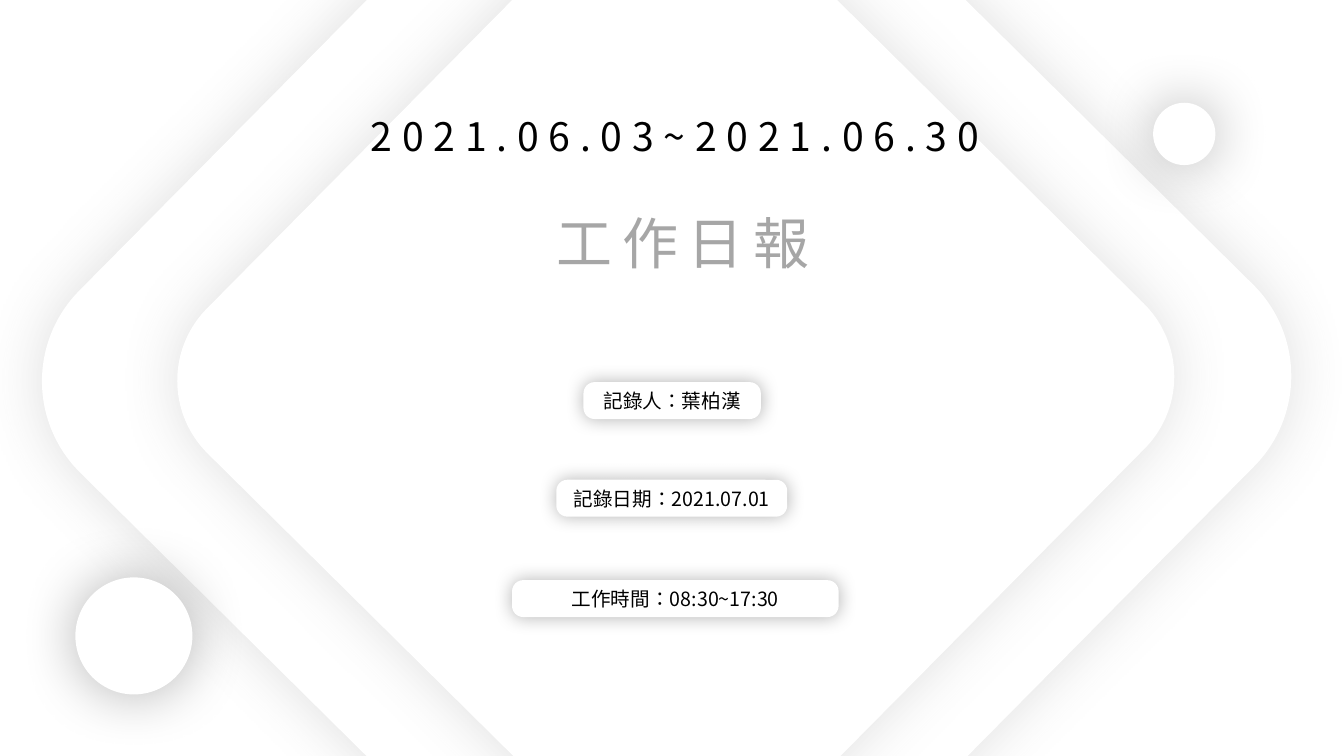
from lxml.etree import SubElement
from pptx import Presentation
from pptx.dml.color import RGBColor
from pptx.enum.shapes import MSO_SHAPE
from pptx.enum.text import MSO_ANCHOR, PP_ALIGN
from pptx.oxml.ns import qn
from pptx.util import Cm, Pt

COLORS = {"white": "FFFFFF", "black": "000000", "title": "A6A6A6", "soft": "595959"}
FONT = "Noto Sans CJK SC"


def add_card(shapes, kind, box, shadow, opacity, blur, corner=None):
    """White, unlined shape with a glow-like shadow around it."""
    card = shapes.add_shape(kind, *[Cm(v) for v in box])
    if corner is not None:
        card.adjustments[0] = corner
    card.fill.solid()
    card.fill.fore_color.rgb = RGBColor.from_string(COLORS["white"])
    card.line.fill.background()
    card.shadow.inherit = False
    effects = card._element.spPr.find(qn("a:effectLst"))
    outer = SubElement(effects, qn("a:outerShdw"), blurRad=str(Pt(blur)),
                       dist="0", dir="0", algn="ctr", rotWithShape="0")
    color = SubElement(outer, qn("a:srgbClr"), val=COLORS[shadow])
    SubElement(color, qn("a:alpha"), val=str(opacity * 1000))
    return card


def add_label(shapes, text, box, size, color="black", spacing=0):
    """Centred single-line text."""
    label = shapes.add_textbox(*[Cm(v) for v in box])
    frame = label.text_frame
    frame.word_wrap = True
    frame.vertical_anchor = MSO_ANCHOR.MIDDLE
    frame.margin_left = frame.margin_right = frame.margin_top = frame.margin_bottom = 0
    paragraph = frame.paragraphs[0]
    paragraph.alignment = PP_ALIGN.CENTER
    run = paragraph.add_run()
    run.text = text
    paragraph.font.size = Pt(size)
    paragraph.font.name = FONT
    paragraph.font.color.rgb = RGBColor.from_string(COLORS[color])
    # East Asian typeface and letter spacing
    properties = run._r.get_or_add_rPr()
    properties.set("lang", "zh-TW")
    if spacing:
        properties.set("spc", str(spacing * 100))
    SubElement(properties, qn("a:ea"), typeface=FONT)


report = Presentation()
report.slide_width, report.slide_height = Cm(33.87), Cm(19.05)
slide = report.slides.add_slide(report.slide_layouts[6])

# Nested diamonds
for left, top, side in [(4.72, -2.54, 24.16), (7.39, -0.1, 19.28)]:
    diamond = add_card(slide.shapes, MSO_SHAPE.ROUNDED_RECTANGLE,
                       (left, top, side, side), "soft", 19, 43, 0.134)
    diamond.rotation = 44.7

# Period and title
add_label(slide.shapes, "2021.06.03~2021.06.30", (7.77, 2.69, 18.49, 1.45), 28, spacing=7)
add_label(slide.shapes, "工作日報", (11.18, 5.11, 12.07, 1.96), 40, "title", 7)

# Corner discs
for left, top, diameter in [(1.9, 14.55, 2.95), (29.06, 2.59, 1.57)]:
    add_card(slide.shapes, MSO_SHAPE.OVAL, (left, top, diameter, diameter), "black", 30, 43)

# Record details: text, centre, top, width
details = [
    ("記錄人：葉柏漢", 16.94, 9.63, 4.47),
    ("記錄日期：2021.07.01", 16.93, 12.09, 5.82),
    ("工作時間：08:30~17:30", 17.02, 14.62, 8.23),
]
for text, center, top, width in details:
    detail = slide.shapes.add_group_shape().shapes
    box = (center - width / 2, top, width, 0.93)
    add_card(detail, MSO_SHAPE.ROUNDED_RECTANGLE, box, "black", 30, 13, 0.302)
    add_label(detail, text, box, 14)

report.save("out.pptx")
